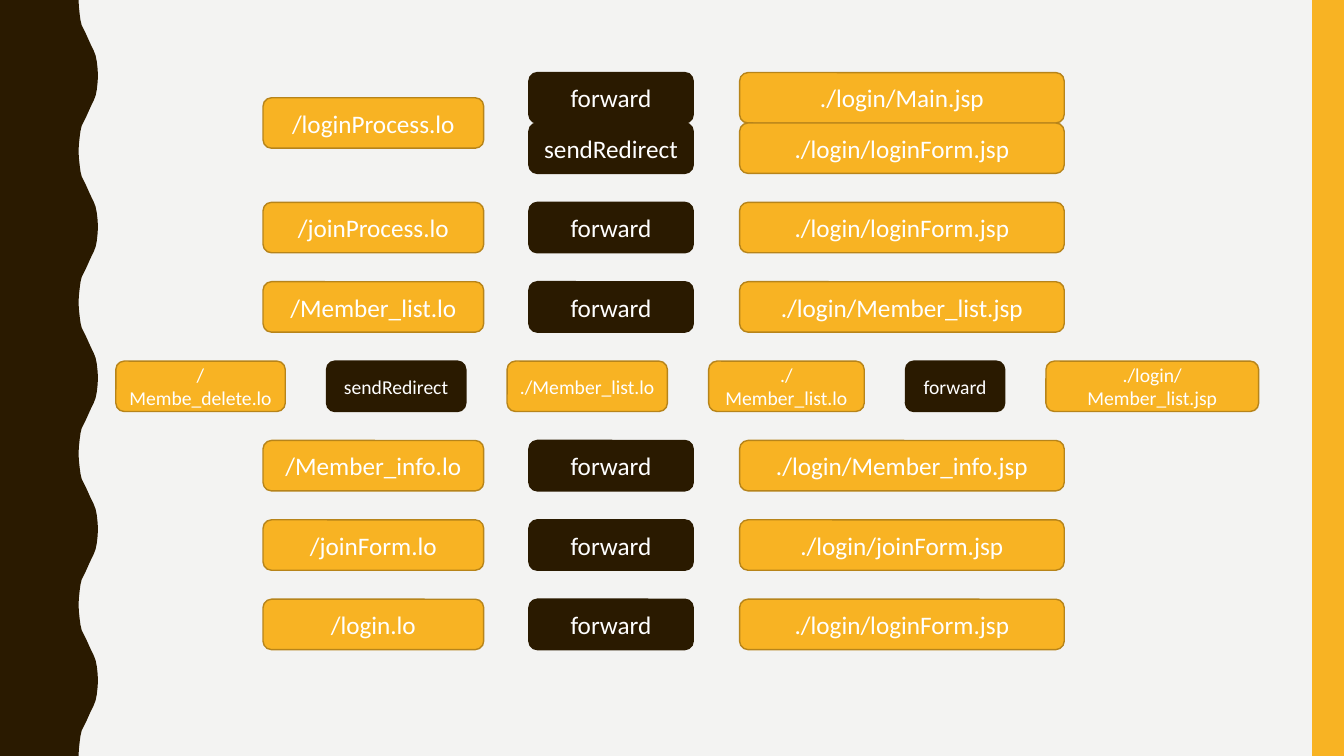
from dataclasses import dataclass

from pptx import Presentation
from pptx.dml.color import RGBColor
from pptx.enum.shapes import MSO_SHAPE
from pptx.enum.text import MSO_ANCHOR, PP_ALIGN
from pptx.util import Cm, Pt


@dataclass(frozen=True)
class Theme:
    """Colours and type sizes of the slide."""
    paper: RGBColor = RGBColor(0xF3, 0xF3, 0xF2)
    brown: RGBColor = RGBColor(0x2A, 0x1A, 0x00)
    amber: RGBColor = RGBColor(0xF8, 0xB3, 0x23)
    amber_edge: RGBColor = RGBColor(0xB7, 0x84, 0x1A)
    label: RGBColor = RGBColor(0xFF, 0xFF, 0xFF)
    font: str = "Calibri"
    size: int = 18
    small_size: int = 14


THEME = Theme()
SLIDE_WIDTH, SLIDE_HEIGHT = 33.87, 19.05
BAND_WIDTH = 0.8
BOX_HEIGHT = 1.27
ROW_PITCH = 2.0
FIRST_ROW_TOP = 5.1
LOGIN_TOP = 1.83

# Left and width of the request, transfer and view columns, in cm
COLUMNS = [(6.63, 5.56), (13.33, 4.14), (18.64, 8.18)]
TRANSFERS = ("forward", "sendRedirect")

# Row number: request, transfer, view
ROUTES = {
    0: ("/joinProcess.lo", "forward", "./login/loginForm.jsp"),
    1: ("/Member_list.lo", "forward", "./login/Member_list.jsp"),
    3: ("/Member_info.lo", "forward", "./login/Member_info.jsp"),
    4: ("/joinForm.lo", "forward", "./login/joinForm.jsp"),
    5: ("/login.lo", "forward", "./login/loginForm.jsp"),
}

# The delete chain: label and box width in cm
DELETE_ROW = 2
DELETE_LEFT, DELETE_GAP = 2.92, 1.04
DELETE_CHAIN = [
    ("/Membe_delete.lo", 4.27), ("sendRedirect", 3.51),
    ("./Member_list.lo", 4.04), ("./Member_list.lo", 3.92),
    ("forward", 2.5), ("./login/Member_list.jsp", 5.36),
]

# Rising half of one wave, from trough to crest, in cm
WAVE_PERIOD, WAVE_COUNT = 3.81, 5
WAVE_RISE = [
    (1.98, 0), (1.99, 0.18), (2.01, 0.36), (2.03, 0.51), (2.06, 0.64),
    (2.11, 0.74), (2.16, 0.84), (2.21, 0.95), (2.26, 1.06), (2.31, 1.17),
    (2.36, 1.27), (2.41, 1.4), (2.44, 1.55), (2.46, 1.73), (2.47, 1.9),
]


def add_wave(slide):
    """Draw the brown left margin with its wavy edge."""
    fall = [(x, WAVE_PERIOD - y) for x, y in reversed(WAVE_RISE)]
    edge = [(x, y + wave * WAVE_PERIOD)
            for wave in range(WAVE_COUNT) for x, y in WAVE_RISE + fall]
    outline = [(Cm(x), Cm(y)) for x, y in edge + [(0, SLIDE_HEIGHT)]]
    builder = slide.shapes.build_freeform(0, 0)
    builder.add_line_segments(outline, close=True)
    margin = builder.convert_to_shape()
    margin.shadow.inherit = False
    margin.fill.solid()
    margin.fill.fore_color.rgb = THEME.brown
    margin.line.fill.background()


def add_band(slide):
    """Draw the amber band along the right edge."""
    band = slide.shapes.add_shape(
        MSO_SHAPE.RECTANGLE, Cm(SLIDE_WIDTH - BAND_WIDTH), 0,
        Cm(BAND_WIDTH), Cm(SLIDE_HEIGHT))
    band.shadow.inherit = False
    band.fill.solid()
    band.fill.fore_color.rgb = THEME.amber
    band.line.fill.background()


def add_step(slide, label, left, top, width, size=THEME.size):
    """Add a rounded box: brown for a transfer, amber for an address."""
    is_transfer = label in TRANSFERS
    step = slide.shapes.add_shape(
        MSO_SHAPE.ROUNDED_RECTANGLE, Cm(left), Cm(top), Cm(width), Cm(BOX_HEIGHT))
    step.shadow.inherit = False
    step.fill.solid()
    step.fill.fore_color.rgb = THEME.brown if is_transfer else THEME.amber
    step.line.color.rgb = THEME.brown if is_transfer else THEME.amber_edge
    step.line.width = Pt(1)
    step.text_frame.word_wrap = True
    step.text_frame.vertical_anchor = MSO_ANCHOR.MIDDLE
    paragraph = step.text_frame.paragraphs[0]
    paragraph.alignment = PP_ALIGN.CENTER
    run = paragraph.add_run()
    run.text = label
    run.font.name = THEME.font
    run.font.size = Pt(size)
    run.font.color.rgb = THEME.label


def add_route(slide, labels, top, columns=COLUMNS):
    """Add one row of boxes, one for each column."""
    for label, (left, width) in zip(labels, columns):
        add_step(slide, label, left, top, width)


def add_login_route(slide):
    """Add the login request, centred beside its two outcomes."""
    add_route(slide, ["/loginProcess.lo"], LOGIN_TOP + BOX_HEIGHT / 2)
    add_route(slide, ("forward", "./login/Main.jsp"), LOGIN_TOP, COLUMNS[1:])
    add_route(slide, ("sendRedirect", "./login/loginForm.jsp"),
              LOGIN_TOP + BOX_HEIGHT, COLUMNS[1:])


def add_delete_chain(slide):
    """Add the row of six smaller steps, equally spaced."""
    left = DELETE_LEFT
    top = FIRST_ROW_TOP + DELETE_ROW * ROW_PITCH
    for label, width in DELETE_CHAIN:
        add_step(slide, label, left, top, width, THEME.small_size)
        left += width + DELETE_GAP


def main():
    """Build the slide of request routes and save it."""
    deck = Presentation()
    deck.slide_width, deck.slide_height = Cm(SLIDE_WIDTH), Cm(SLIDE_HEIGHT)
    slide = deck.slides.add_slide(deck.slide_layouts.get_by_name("Blank"))
    slide.background.fill.solid()
    slide.background.fill.fore_color.rgb = THEME.paper
    add_wave(slide)
    add_band(slide)
    add_login_route(slide)
    for row, labels in ROUTES.items():
        add_route(slide, labels, FIRST_ROW_TOP + row * ROW_PITCH)
    add_delete_chain(slide)
    deck.save("out.pptx")


main()
